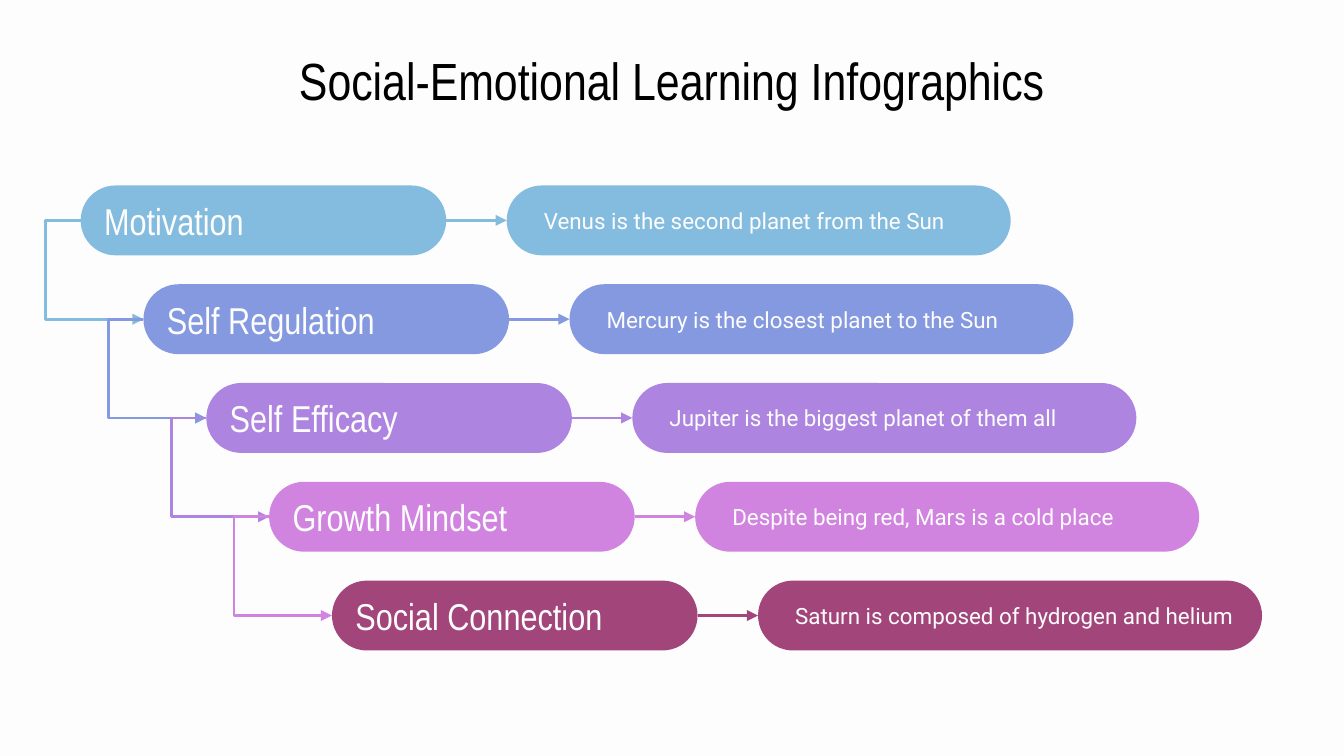
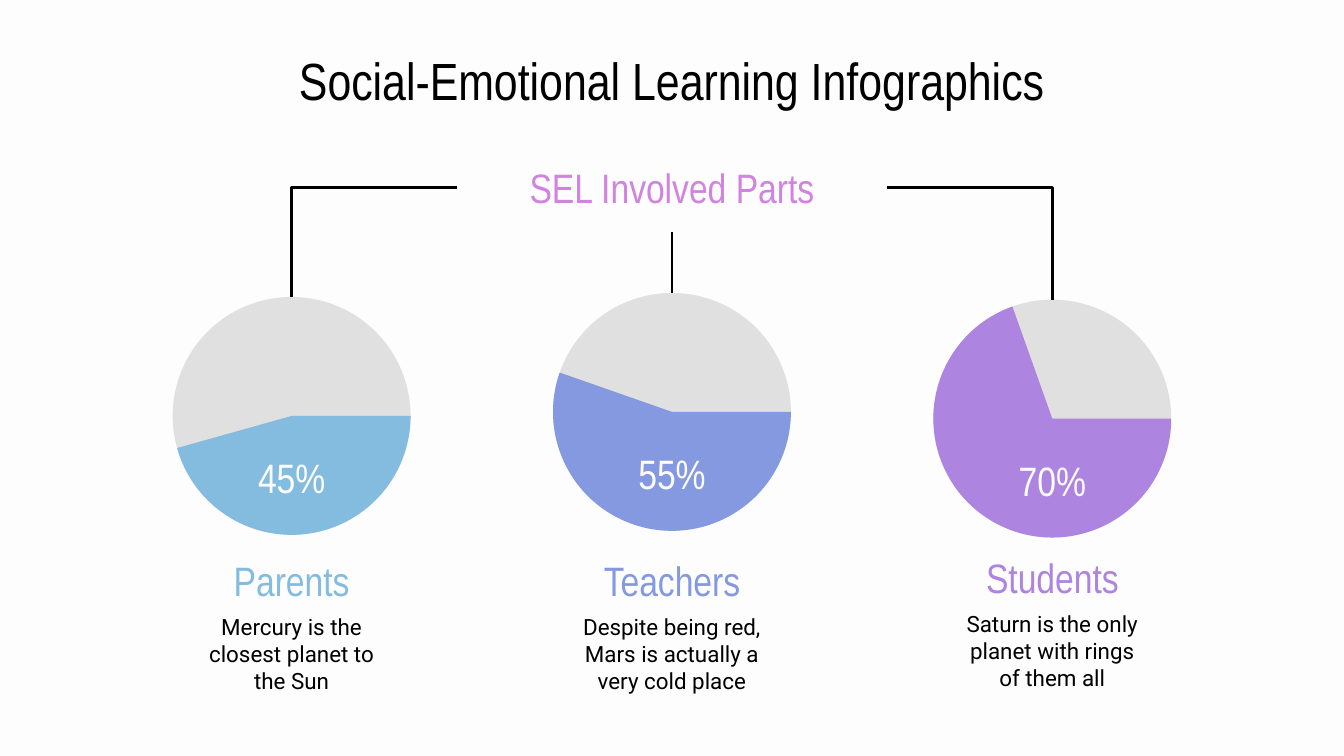
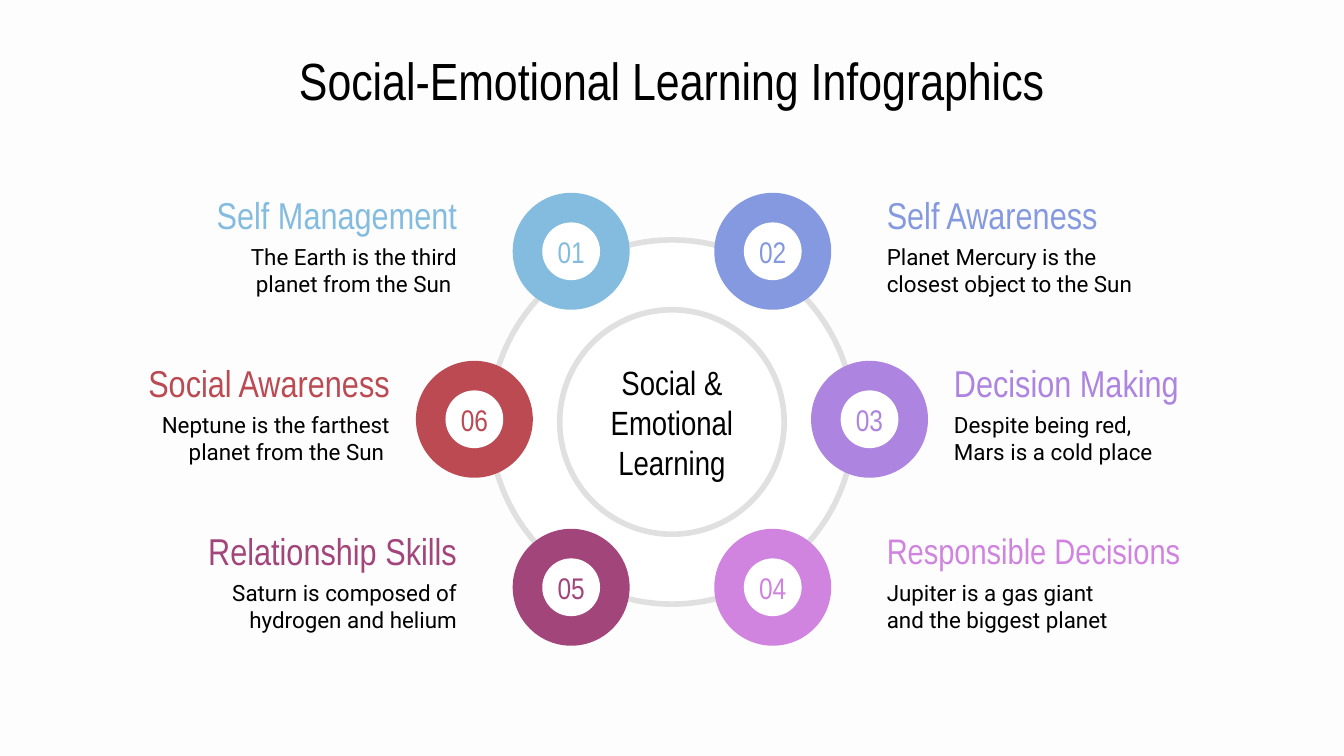
from copy import deepcopy

from lxml.etree import SubElement
from pptx import Presentation
from pptx.dml.color import RGBColor
from pptx.enum.shapes import MSO_CONNECTOR, MSO_SHAPE
from pptx.enum.text import MSO_ANCHOR, MSO_AUTO_SIZE, PP_ALIGN
from pptx.oxml.ns import qn
from pptx.util import Inches, Pt

OFF_WHITE = RGBColor(0xFD, 0xFD, 0xFD)
WHITE = RGBColor(0xFF, 0xFF, 0xFF)
BLACK = RGBColor(0x00, 0x00, 0x00)
GRAY = RGBColor(0xE0, 0xE0, 0xE0)
SKY = RGBColor(0x84, 0xBC, 0xDF)
BLUE = RGBColor(0x84, 0x99, 0xDF)
PURPLE = RGBColor(0xAD, 0x84, 0xDF)
PINK = RGBColor(0xD0, 0x84, 0xDF)
PLUM = RGBColor(0xA2, 0x45, 0x7B)
RED = RGBColor(0xBB, 0x4A, 0x53)

HEADING_FONT = "Arial Narrow"
BODY_FONT = "Roboto"
DECK_TITLE = "Social-Emotional Learning Infographics"
TOP, LEFT, BOTTOM, RIGHT = range(4)


def write(shape, text, size=12, font=BODY_FONT, color=BLACK,
          align=PP_ALIGN.LEFT, inset=0.1, left_inset=None):
    """Fill a shape with one formatted, vertically centred paragraph."""
    frame = shape.text_frame
    frame.auto_size = MSO_AUTO_SIZE.NONE
    frame.word_wrap = True
    frame.vertical_anchor = MSO_ANCHOR.MIDDLE
    frame.margin_top = frame.margin_right = frame.margin_bottom = Inches(inset)
    frame.margin_left = Inches(inset if left_inset is None else left_inset)
    paragraph = frame.paragraphs[0]
    paragraph.text = text
    paragraph.alignment = align
    for run in paragraph.runs:
        run.font.size = Pt(size)
        run.font.name = font
        run.font.color.rgb = color
    for line_break in paragraph._p.findall(qn("a:br")):
        line_break.append(deepcopy(paragraph.runs[0].font._rPr))


def add_label(slide, box, text, **style):
    """Add a text box at box (left, top, width, height in inches)."""
    label = slide.shapes.add_textbox(*map(Inches, box))
    write(label, text, **style)
    return label


def add_figure(slide, preset, box, fill=None, outline=None):
    """Add a flat preset shape with an optional fill and outline."""
    figure = slide.shapes.add_shape(preset, *map(Inches, box))
    figure.shadow.inherit = False
    if fill is None:
        figure.fill.background()
    else:
        figure.fill.solid()
        figure.fill.fore_color.rgb = fill
    if outline is None:
        figure.line.fill.background()
    else:
        figure.line.color.rgb = outline
        figure.line.width = Pt(3)
    return figure


def add_circle(slide, center_x, center_y, diameter, **style):
    """Add a circle around a centre point."""
    box = (center_x - diameter / 2, center_y - diameter / 2, diameter, diameter)
    return add_figure(slide, MSO_SHAPE.OVAL, box, **style)


def add_link(slide, kind, target, color, source=None, start=(0, 0), arrow=False):
    """Join a source (shape, site), or a start point, to a target (shape, site)."""
    start = tuple(map(Inches, start))
    link = slide.shapes.add_connector(kind, *start, *start)
    if source:
        link.begin_connect(*source)
    link.end_connect(*target)
    link.line.color.rgb = color
    link.line.width = Pt(1.5)
    if arrow:
        SubElement(link.line._get_or_add_ln(), qn("a:tailEnd"), type="triangle")
    SubElement(link.element.spPr, qn("a:effectLst"))
    return link


def bend(link, preset, offset=None):
    """Set the elbow preset of a link and the place of its bend."""
    geometry = link.element.spPr.find(qn("a:prstGeom"))
    geometry.set("prst", preset)
    if offset is not None:
        SubElement(geometry.find(qn("a:avLst")), qn("a:gd"),
                   name="adj1", fmla=f"val {round(offset * 100000)}")


def add_titled_slide(deck):
    """Add a title-only slide with the shared title."""
    slide = deck.slides.add_slide(deck.slide_layouts[5])
    title = slide.shapes.title
    title.left, title.top, title.width, title.height = map(Inches, (0.49, 0.45, 9.01, 0.29))
    write(title, DECK_TITLE, size=28, font=HEADING_FONT, align=PP_ALIGN.CENTER)
    return slide


def add_step(slide, left, top, topic, detail, color):
    """Add a topic pill with an arrow to its detail pill; return the topic pill."""
    height = 0.52
    topic_pill = add_figure(slide, MSO_SHAPE.ROUNDED_RECTANGLE, (left, top, 2.72, height), color)
    detail_pill = add_figure(slide, MSO_SHAPE.ROUNDED_RECTANGLE,
                             (left + 3.17, top, 3.75, height), color)
    for pill in (topic_pill, detail_pill):
        pill.adjustments[0] = 0.5
    write(topic_pill, topic, size=20, font=HEADING_FONT, color=OFF_WHITE)
    write(detail_pill, detail, color=OFF_WHITE, left_inset=0.2)
    add_link(slide, MSO_CONNECTOR.STRAIGHT, (detail_pill, LEFT), color,
             source=(topic_pill, RIGHT), arrow=True)
    return topic_pill


def build_staircase(deck):
    """Build the slide with five descending steps."""
    slide = add_titled_slide(deck)
    steps = [
        ("Motivation", "Venus is the second planet from the Sun", SKY),
        ("Self Regulation", "Mercury is the closest planet to the Sun", BLUE),
        ("Self Efficacy", "Jupiter is the biggest planet of them all", PURPLE),
        ("Growth Mindset", "Despite being red, Mars is a cold place", PINK),
        ("Social Connection", "Saturn is composed of hydrogen and helium", PLUM),
    ]
    shift = (2.47 - 0.6) / (len(steps) - 1)
    drop = (4.32 - 1.38) / (len(steps) - 1)
    pills = [add_step(slide, 0.6 + i * shift, 1.38 + i * drop, *step)
             for i, step in enumerate(steps)]
    for upper, lower, (_, _, color) in zip(pills, pills[1:], steps):
        link = add_link(slide, MSO_CONNECTOR.ELBOW, (lower, LEFT), color,
                        source=(upper, LEFT), arrow=True)
        bend(link, "bentConnector3", -0.56)


def add_share(slide, center, pie_top, label_top, percent, sweep, name, detail, color):
    """Add a pie with its percentage, name and detail; return its base circle."""
    diameter = 1.77
    box = (center - diameter / 2, pie_top, diameter, diameter)
    base = add_figure(slide, MSO_SHAPE.OVAL, box, GRAY)
    sector = add_figure(slide, MSO_SHAPE.PIE, box, color)
    sector.adjustments[0] = 0
    sector.adjustments[1] = sweep * 0.6
    heading = dict(size=22, font=HEADING_FONT, align=PP_ALIGN.CENTER)
    add_label(slide, (center - 0.48, pie_top + 1.04, 0.96, 0.6), percent,
              color=OFF_WHITE, **heading)
    add_label(slide, (center - 1.04, label_top, 2.08, 0.45), name, color=color, **heading)
    add_label(slide, (center - 0.78, label_top + 0.48, 1.56, 0.58), detail,
              align=PP_ALIGN.CENTER)
    return base


def build_shares(deck):
    """Build the slide with three pies under one heading."""
    slide = add_titled_slide(deck)
    shares = [
        (2.21, 4.09, "45%", 164.3, "Parents", "Mercury is the closest planet to the Sun", SKY),
        (2.18, 4.09, "55%", 199.3, "Teachers",
         "Despite being red,\nMars is actually a very cold place", BLUE),
        (2.23, 4.07, "70%", 250.4, "Students",
         "Saturn is the only planet with rings of them all", PURPLE),
    ]
    middle, pitch = 5, 2.83
    parents, teachers, students = [
        add_share(slide, middle + (i - 1) * pitch, *share) for i, share in enumerate(shares)]
    subtitle = add_label(slide, (3.4, 1.25, 3.2, 0.29), "SEL Involved Parts", size=22,
                         font=HEADING_FONT, color=PINK, align=PP_ALIGN.CENTER)
    for base, side in ((parents, LEFT), (students, RIGHT)):
        link = add_link(slide, MSO_CONNECTOR.ELBOW, (base, TOP), BLACK, source=(subtitle, side))
        bend(link, "bentConnector2")
    add_link(slide, MSO_CONNECTOR.STRAIGHT, (teachers, TOP), BLACK, start=(middle, 1.73))


def add_skill(slide, center_x, center_y, number, name, detail, color, name_size=20):
    """Add a numbered node and the text on its outer side."""
    add_circle(slide, center_x, center_y, 0.87, fill=color)
    badge = add_circle(slide, center_x, center_y, 0.43, fill=WHITE)
    write(badge, number, size=16, font=HEADING_FONT, color=color,
          align=PP_ALIGN.CENTER, inset=0)
    on_left = center_x < 5
    align = PP_ALIGN.RIGHT if on_left else PP_ALIGN.LEFT
    gap = 0.53 if abs(center_x - 5) > 1 else 0.75
    top = center_y - 0.51

    def outer_box(offset, width, height):
        """Return a box whose inner edge keeps the gap to the node."""
        left = center_x - gap - width if on_left else center_x + gap
        return left, top + offset, width, height

    add_label(slide, outer_box(0, 2.87, 0.47), name, size=name_size,
              font=HEADING_FONT, color=color, align=align)
    add_label(slide, outer_box(0.36, 2.23, 0.58), detail, align=align)


def build_wheel(deck):
    """Build the slide with six skills around a ring."""
    slide = add_titled_slide(deck)
    center_x, center_y = 5, 3.14
    add_circle(slide, center_x, center_y, 2.71, fill=WHITE, outline=GRAY)
    hub = add_circle(slide, center_x, center_y, 1.67, outline=GRAY)
    write(hub, "Social & Emotional Learning", size=18, font=HEADING_FONT,
          align=PP_ALIGN.CENTER)
    skills = [
        (0.75, -1, "02", "Self Awareness",
         "Planet Mercury is the closest object to the Sun", BLUE),
        (1.47, 0, "03", "Decision Making", "Despite being red,\nMars is a cold place", PURPLE),
        (0.75, 1, "04", "Responsible Decisions",
         "Jupiter is a gas giant\nand the biggest planet", PINK, 19),
        (-0.75, 1, "05", "Relationship Skills",
         "Saturn is composed of hydrogen and helium", PLUM),
        (-1.47, 0, "06", "Social Awareness",
         "Neptune is the farthest planet from the Sun ", RED),
        (-0.75, -1, "01", "Self Management",
         "The Earth is the third planet from the Sun ", SKY),
    ]
    for offset, row, *content in skills:
        add_skill(slide, center_x + offset, 3.12 + row * 1.25, *content)


def main():
    """Build and save the presentation."""
    deck = Presentation()
    deck.slide_width = Inches(10)
    deck.slide_height = deck.slide_width * 9 // 16
    background = deck.slide_master.background.fill
    background.solid()
    background.fore_color.rgb = OFF_WHITE
    build_staircase(deck)
    build_shares(deck)
    build_wheel(deck)
    deck.save("out.pptx")


if __name__ == "__main__":
    main()
